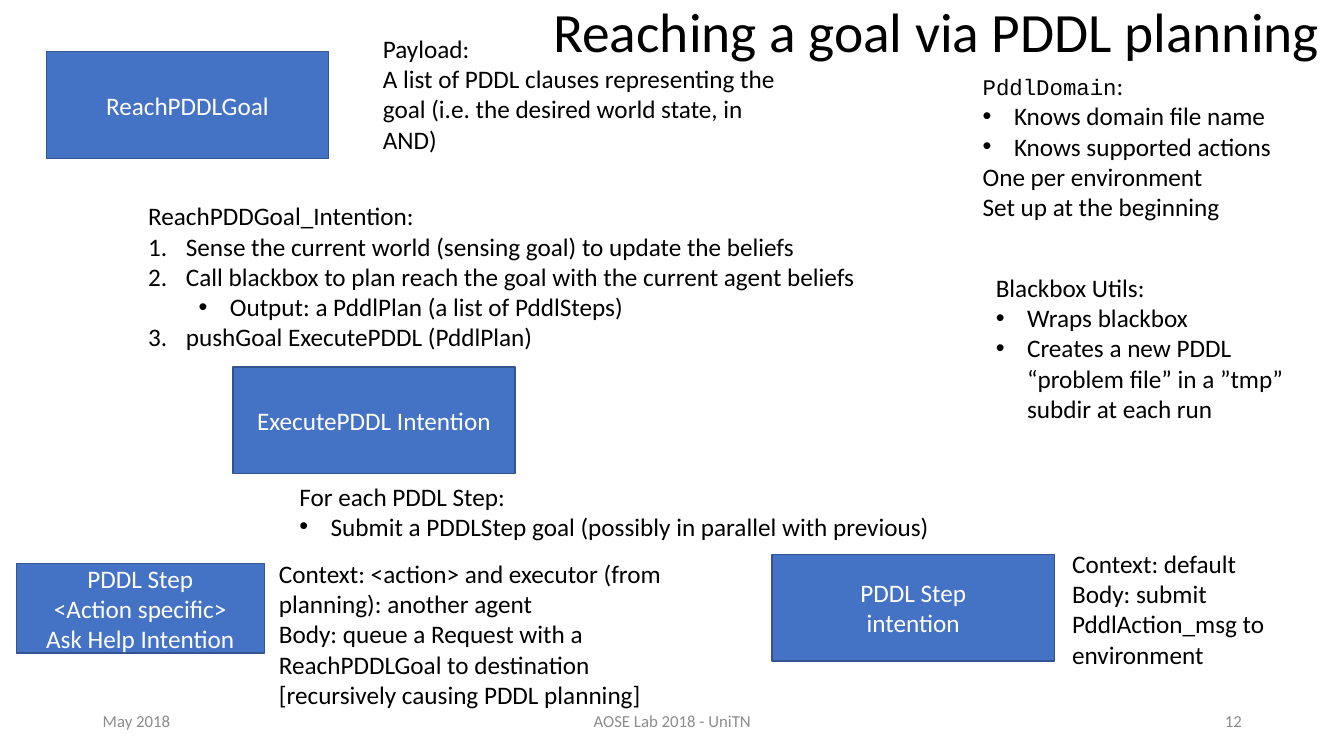
from lxml import etree
from pptx import Presentation
from pptx import util as u
from pptx.dml.color import RGBColor
from pptx.enum import shapes, text
from pptx.oxml.ns import qn

BLUE = RGBColor(0x44, 0x72, 0xC4)
EDGE = RGBColor(0x32, 0x54, 0x91)
WHITE = RGBColor(0xFF, 0xFF, 0xFF)
BLACK = RGBColor(0, 0, 0)
GRAY = RGBColor(0x8C, 0x8C, 0x8C)

LEFT, MID, RIGHT = text.PP_ALIGN.LEFT, text.PP_ALIGN.CENTER, text.PP_ALIGN.RIGHT
TOP, CENTER = text.MSO_ANCHOR.TOP, text.MSO_ANCHOR.MIDDLE

PLAIN, STEP, DOT, SUB = range(4)
MARKS = {
    PLAIN: (0, 0, 0, "buNone", {}),
    STEP: (0, 0.95, -0.95, "buAutoNum", {"type": "arabicPeriod"}),
    DOT: (0, 0.79, -0.79, "buChar", {"char": "•"}),
    SUB: (1, 2.06, -0.79, "buChar", {"char": "•"}),
}


def place(shape, *area):
    shape.left, shape.top, shape.width, shape.height = map(u.Cm, area)


def style(run, color, size, face="Calibri"):
    run.font.name = face
    run.font.size = u.Pt(size)
    run.font.bold = False
    run.font.color.rgb = color


def write(frame, lines, color=BLACK, size=18, align=LEFT, anchor=TOP):
    frame.word_wrap = True
    frame.auto_size = text.MSO_AUTO_SIZE.NONE
    frame.vertical_anchor = anchor
    frame.text = "\n".join(lines)
    for para in frame.paragraphs:
        para.alignment = align
        para.space_before = u.Pt(0)
        for run in para.runs:
            style(run, color, size)


def mark(para, kind):
    level, left, hang, tag, attrs = MARKS[kind]
    para.level = level
    props = para._p.get_or_add_pPr()
    props.set("marL", str(u.Cm(left)))
    props.set("indent", str(u.Cm(hang)))
    if kind in (DOT, SUB):
        etree.SubElement(props, qn("a:buFont"), typeface="Arial")
    etree.SubElement(props, qn("a:" + tag), attrs)


def fill_list(body, area, rows):
    place(body, *area)
    write(body.text_frame, [line for kind, line in rows])
    for para, (kind, line) in zip(body.text_frame.paragraphs, rows):
        mark(para, kind)


def add_box(slide, area, *lines):
    box = slide.shapes.add_shape(shapes.MSO_SHAPE.RECTANGLE, *map(u.Cm, area))
    box.shadow.inherit = False
    box.fill.solid()
    box.fill.fore_color.rgb = BLUE
    box.line.color.rgb = EDGE
    box.line.width = u.Pt(1)
    write(box.text_frame, lines, WHITE, align=MID, anchor=CENTER)


def add_note(slide, area, *lines, **look):
    note = slide.shapes.add_textbox(*map(u.Cm, area))
    write(note.text_frame, lines, **look)


def add_foot(slide, left, width, line, align):
    add_note(slide, (left, 17.65, width, 1.02), line,
             color=GRAY, size=12, align=align, anchor=CENTER)


def main():
    deck = Presentation()
    deck.slide_width, deck.slide_height = u.Cm(33.87), u.Cm(19.05)
    slide = deck.slides.add_slide(deck.slide_layouts[4])

    title = slide.shapes.title
    place(title, 13.69, 0, 20.19, 2.92)
    write(title.text_frame, ["Reaching a goal via PDDL planning"], size=39.6)
    title.text_frame.paragraphs[0].line_spacing = 0.9

    goal, each, domain, utils = list(slide.placeholders)[1:]
    fill_list(goal, (3.48, 4.93, 18.39, 4.11), [
        (PLAIN, "ReachPDDGoal_Intention:"),
        (STEP, "Sense the current world (sensing goal) to update the beliefs"),
        (STEP, "Call blackbox to plan reach the goal with the current agent beliefs"),
        (SUB, "Output: a PddlPlan (a list of PddlSteps)"),
        (STEP, "pushGoal ExecutePDDL (PddlPlan)"),
    ])
    fill_list(each, (7.29, 11.99, 16.71, 1.8), [
        (PLAIN, "For each PDDL Step:"),
        (DOT, "Submit a PDDLStep goal (possibly in parallel with previous)"),
    ])
    fill_list(domain, (24.51, 1.65, 7.87, 4.11), [
        (PLAIN, "PddlDomain"),
        (DOT, "Knows domain file name"),
        (DOT, "Knows supported actions"),
        (PLAIN, "One per environment"),
        (PLAIN, "Set up at the beginning"),
    ])
    head = domain.text_frame.paragraphs[0]
    style(head.runs[0], BLACK, 16, "Courier New")
    colon = head.add_run()
    colon.text = ":"
    style(colon, BLACK, 18)
    fill_list(utils, (24.84, 6.73, 8.05, 4.11), [
        (PLAIN, "Blackbox Utils:"),
        (DOT, "Wraps blackbox"),
        (DOT, "Creates a new PDDL “problem file” in a ”tmp” subdir at each run"),
    ])

    wide, tall = 7.11, 2.69
    add_box(slide, (1.17, 1.3, wide, tall), "ReachPDDLGoal")
    add_box(slide, (5.87, 9.25, wide, tall), "ExecutePDDL Intention")
    add_box(slide, (19.46, 13.97, wide, tall), "PDDL Step", "intention")
    add_box(slide, (0.41, 14.2, 6.25, 2.26),
            "PDDL Step", "<Action specific>", "Ask Help Intention")

    add_note(slide, (9.4, 0.71, 10.39, 3.33), "Payload:",
             "A list of PDDL clauses representing the goal "
             "(i.e. the desired world state, in AND)")
    add_note(slide, (6.78, 13.94, 11.79, 4.88),
             "Context: <action> and executor (from planning): another agent",
             "Body: queue a Request with a ReachPDDLGoal to destination",
             "[recursively causing PDDL planning]")
    add_note(slide, (26.77, 13.69, 6.12, 4.11), "Context: default",
             "Body: submit PddlAction_msg to environment")

    add_foot(slide, 2.34, 7.62, "May 2018", LEFT)
    add_foot(slide, 11.23, 11.43, "AOSE Lab 2018 - UniTN", MID)
    add_foot(slide, 23.93, 7.62, "12", RIGHT)

    deck.save("out.pptx")


if __name__ == "__main__":
    main()
